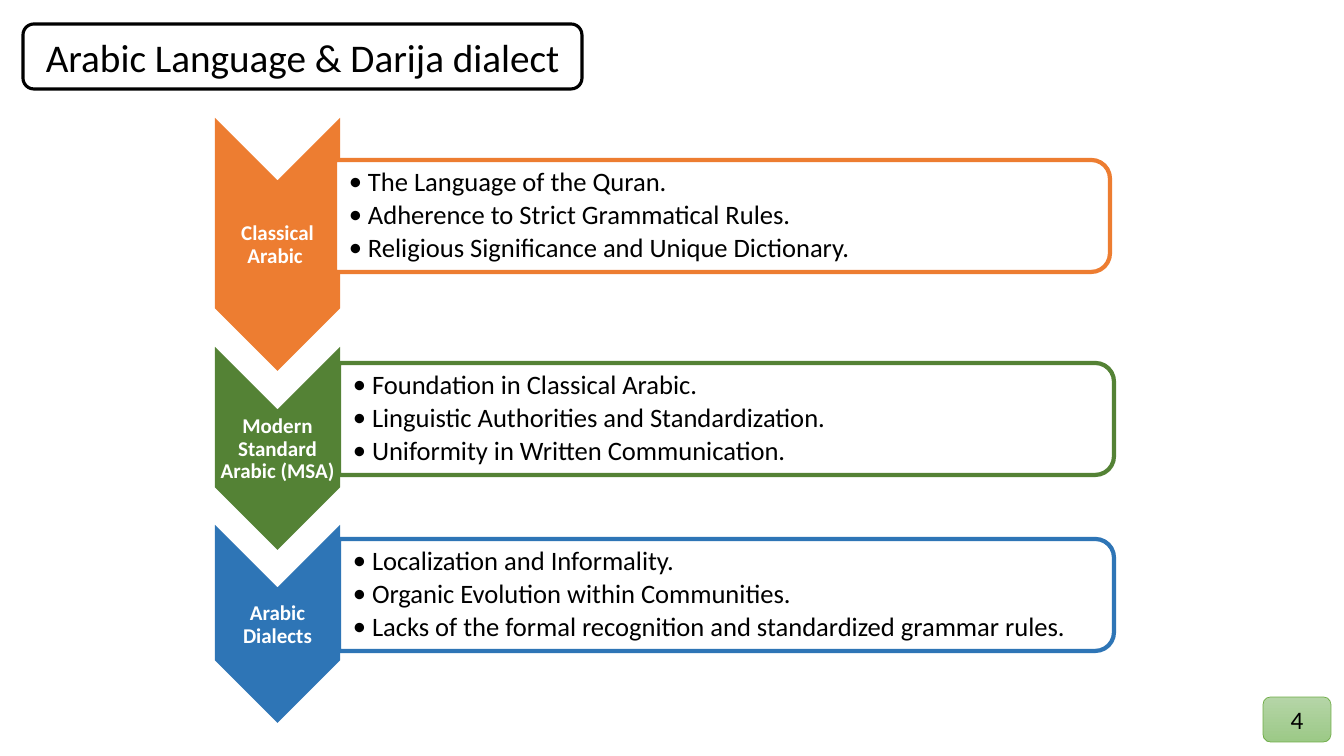
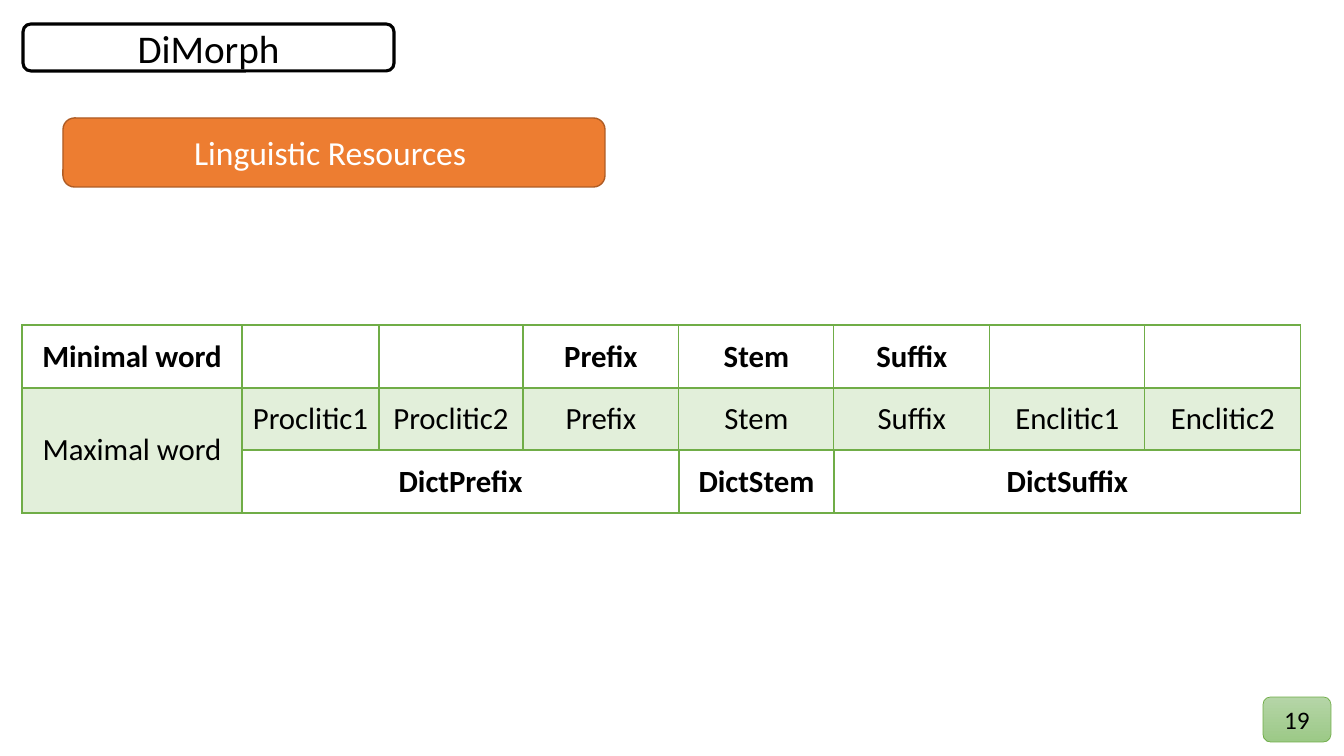
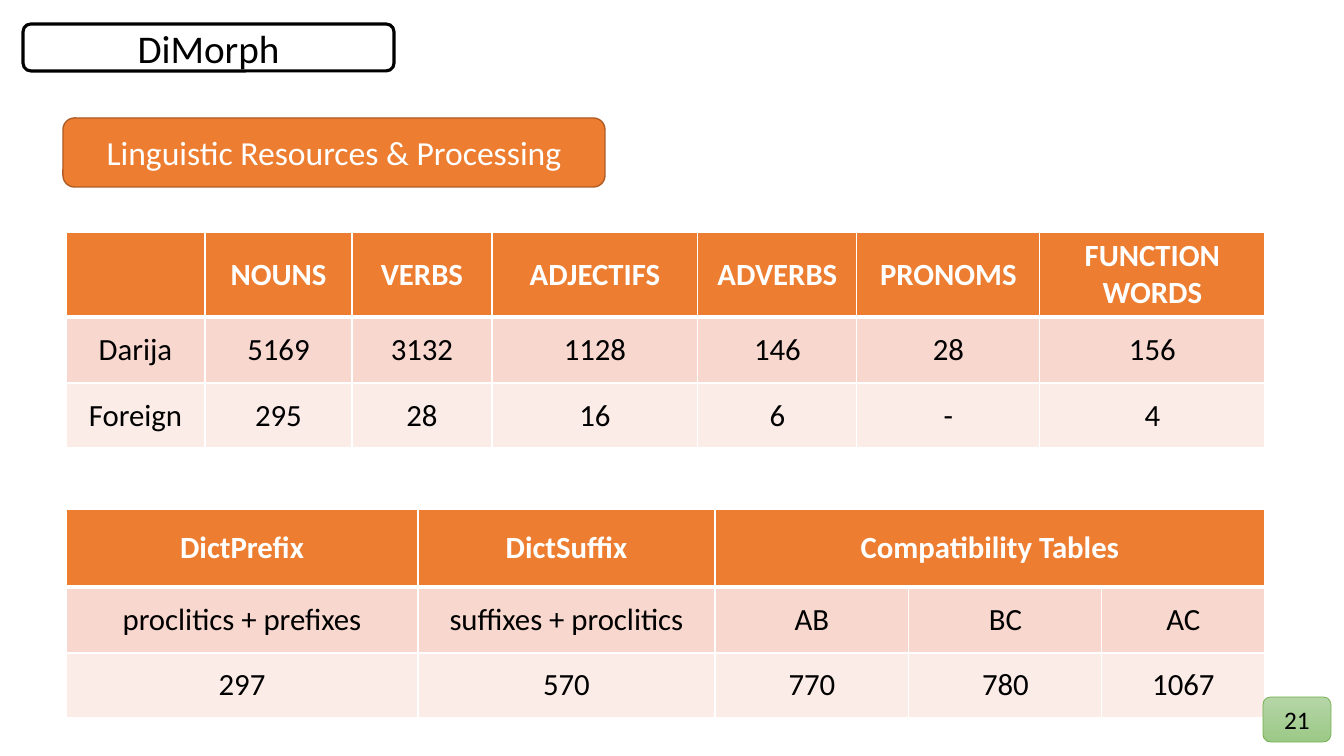
from dataclasses import dataclass, field
from typing import Any

import lxml.etree
import pptx
import pptx.dml.color
import pptx.enum.shapes
import pptx.enum.text
import pptx.oxml
import pptx.oxml.ns
import pptx.util

PX_PER_INCH = 100.8
FONT = "Calibri"
BLACK, WHITE = "000000", "FFFFFF"
ORANGE, DARK_ORANGE = "ED7D31", "AF5C24"
GREEN, PALE_GREEN = "70AD47", "E2EFDA"
FOREST, BLUE = "548235", "2E75B6"
ROSE, PALE_ROSE = "F8D7CE", "FCECE8"
BADGE_TOP, BADGE_BOTTOM = "B5D5A7", "9CC987"

SHAPE = pptx.enum.shapes.MSO_SHAPE
ALIGN = pptx.enum.text.PP_ALIGN
MIDDLE = pptx.enum.text.MSO_ANCHOR.MIDDLE
NO_AUTOSIZE = pptx.enum.text.MSO_AUTO_SIZE.NONE


@dataclass(frozen=True)
class Box:
    left: float
    top: float
    width: float
    height: float

    def turned(self) -> "Box":
        """Frame that covers this box once it is rotated by a quarter turn."""
        shift = (self.width - self.height) / 2
        return Box(self.left + shift, self.top - shift, self.height, self.width)


@dataclass(frozen=True)
class TextStyle:
    size: int
    color: str = BLACK
    bold: bool = False
    align: Any = ALIGN.CENTER


@dataclass(frozen=True)
class Variety:
    name: str
    color: str
    chevron: Box
    panel: Box
    points: list[str]


@dataclass(frozen=True)
class RowStyle:
    fill: str | None
    text: TextStyle


@dataclass(frozen=True)
class TableSpec:
    """Merges are (first row, first column, last row, last column);
    rules give the width of row boundaries that are not 1 pt."""
    left: int
    top: int
    columns: list[int]
    heights: list[int]
    rows: list[list[str]]
    styles: list[RowStyle]
    border: str
    rules: dict[int, int]
    merges: list[tuple[int, int, int, int]] = field(default_factory=list)


TITLE_TEXT = TextStyle(28)
SECTION_TEXT = TextStyle(24, WHITE)
BADGE_TEXT = TextStyle(18)
CHEVRON_TEXT = TextStyle(15, WHITE, True)
POINT_TEXT = TextStyle(19, align=ALIGN.LEFT)
CELL_TEXT = TextStyle(22)
BOLD_CELL_TEXT = TextStyle(22, bold=True)
HEADER_TEXT = TextStyle(22, WHITE, True)

WIDE_TITLE = Box(23, 24, 559, 65)
SHORT_TITLE = Box(23, 24, 371, 47)
SECTION = Box(63, 118, 542, 69)
BADGE = Box(1263, 697, 68, 45)

VARIETIES = [
    Variety("Classical Arabic ", ORANGE, Box(217, 123, 121, 245), Box(335, 160, 775, 112),
            ["The Language of the Quran.",
             "Adherence to Strict Grammatical Rules.",
             "Religious Significance and Unique Dictionary."]),
    Variety("Modern Standard Arabic (MSA)", FOREST, Box(217, 352, 121, 195),
            Box(339, 363, 775, 112),
            ["Foundation in Classical Arabic.",
             "Linguistic Authorities and Standardization.",
             "Uniformity in Written Communication."]),
    Variety("Arabic Dialects", BLUE, Box(217, 530, 121, 190), Box(339, 539, 775, 112),
            ["Localization and Informality.",
             "Organic Evolution within Communities.",
             "Lacks of the formal recognition and standardized grammar rules."]),
]

PLAIN_ROW = RowStyle(None, BOLD_CELL_TEXT)
WORD_TABLE = TableSpec(
    22, 325, [220, 137, 144, 156, 155, 156, 155, 156], [63, 62, 63],
    [["Minimal word", "", "", "Prefix", "Stem", "Suffix", "", ""],
     ["Maximal word", "Proclitic1", "Proclitic2", "Prefix", "Stem", "Suffix",
      "Enclitic1", "Enclitic2"],
     [""] * 8],
    [PLAIN_ROW, RowStyle(PALE_GREEN, CELL_TEXT), PLAIN_ROW],
    GREEN, {1: 2}, [(1, 0, 2, 0), (2, 1, 2, 3), (2, 5, 2, 7)])
DICTIONARY_TABLE = TableSpec(
    242, 450, [437, 155, 467], [63], [["DictPrefix", "DictStem", "DictSuffix"]],
    [PLAIN_ROW], GREEN, {1: 2})

ORANGE_ROWS = [RowStyle(ORANGE, HEADER_TEXT), RowStyle(ROSE, CELL_TEXT),
               RowStyle(PALE_ROSE, CELL_TEXT)]
LEXICON_TABLE = TableSpec(
    66, 232, [139, 147, 140, 206, 159, 183, 225], [85, 66, 65],
    [["", "NOUNS", "VERBS", "ADJECTIFS", "ADVERBS", "PRONOMS", "FUNCTION WORDS"],
     ["Darija", "5169", "3132", "1128", "146", "28", "156"],
     ["Foreign", "295", "28", "16", "6", "-", "4"]],
    ORANGE_ROWS, WHITE, {1: 3})
AFFIX_TABLE = TableSpec(
    66, 509, [352, 297, 194, 193, 163], [78, 66, 65],
    [["DictPrefix", "DictSuffix", "Compatibility Tables", "", ""],
     ["proclitics + prefixes", "suffixes + proclitics", "AB", "BC", "AC"],
     ["297", "570", "770", "780", "1067"]],
    ORANGE_ROWS, WHITE, {1: 3}, [(0, 2, 0, 4)])


def px(length: float) -> pptx.util.Emu:
    return pptx.util.Emu(round(length * 914400 / PX_PER_INCH))


def rgb(color: str) -> pptx.dml.color.RGBColor:
    return pptx.dml.color.RGBColor.from_string(color)


def set_attributes(target: Any, values: dict[str, Any]) -> None:
    for name, value in values.items():
        setattr(target, name, value)


def bounds(box: Box) -> list[pptx.util.Emu]:
    return [px(length) for length in (box.left, box.top, box.width, box.height)]


def write_text(frame: Any, lines: list[str], style: TextStyle) -> None:
    for index, line in enumerate(lines):
        paragraph = frame.add_paragraph() if index else frame.paragraphs[0]
        paragraph.alignment = style.align
        run = paragraph.add_run()
        run.text = line
        set_attributes(run.font, {"name": FONT, "size": pptx.util.Pt(style.size),
                                  "bold": style.bold})
        run.font.color.rgb = rgb(style.color)


def add_painted_shape(slide: Any, kind: Any, box: Box, fill: str, line: str,
                      line_width: float) -> Any:
    shape = slide.shapes.add_shape(kind, *bounds(box))
    shape.shadow.inherit = False
    shape.text_frame.vertical_anchor = MIDDLE
    shape.fill.solid()
    shape.fill.fore_color.rgb = rgb(fill)
    shape.line.color.rgb = rgb(line)
    shape.line.width = pptx.util.Pt(line_width)
    miter = lxml.etree.SubElement(shape.line._get_or_add_ln(), pptx.oxml.ns.qn("a:miter"))
    miter.set("lim", "800000")
    return shape


def add_text_box(slide: Any, box: Box, lines: list[str], style: TextStyle,
                 left_margin: int = 1) -> Any:
    frame = slide.shapes.add_textbox(*bounds(box)).text_frame
    set_attributes(frame, {"word_wrap": True, "vertical_anchor": MIDDLE,
                           "margin_left": px(left_margin), "margin_right": px(1),
                           "margin_top": px(1), "margin_bottom": px(1)})
    write_text(frame, lines, style)
    for paragraph in frame.paragraphs:
        paragraph.line_spacing = 0.9
    return frame


def add_bullets(frame: Any) -> None:
    for paragraph in frame.paragraphs:
        paragraph.space_after = pptx.util.Pt(3)
        properties = paragraph._p.get_or_add_pPr()
        properties.set("marL", str(px(19)))
        properties.set("indent", str(px(-19)))
        for tag, name, value in (("a:buFont", "typeface", FONT), ("a:buChar", "char", "•")):
            lxml.etree.SubElement(properties, pptx.oxml.ns.qn(tag)).set(name, value)


def format_title(slide: Any, text: str, box: Box) -> None:
    """Place the title placeholder on an outlined rounded box."""
    title = slide.shapes.title
    frame = add_painted_shape(slide, SHAPE.ROUNDED_RECTANGLE, box, WHITE, BLACK, 2.25)
    title._element.addprevious(frame._element)
    set_attributes(title, dict(zip(("left", "top", "width", "height"), bounds(box))))
    set_attributes(title.text_frame, {"word_wrap": True, "vertical_anchor": MIDDLE,
                                      "auto_size": NO_AUTOSIZE})
    write_text(title.text_frame, [text], TITLE_TEXT)


def add_page_badge(slide: Any, number: int) -> None:
    badge = add_painted_shape(slide, SHAPE.ROUNDED_RECTANGLE, BADGE, BADGE_TOP, GREEN, 0.5)
    badge.fill.gradient()
    badge.fill.gradient_angle = 270
    for stop, color in zip(badge.fill.gradient_stops, (BADGE_TOP, BADGE_BOTTOM)):
        stop.color.rgb = rgb(color)
    write_text(badge.text_frame, [str(number)], BADGE_TEXT)


def add_slide(presentation: Any, title: str, title_box: Box) -> Any:
    slide = presentation.slides.add_slide(presentation.slide_layouts.get_by_name("Title Only"))
    format_title(slide, title, title_box)
    return slide


def add_section(slide: Any, text: str) -> None:
    section = add_painted_shape(slide, SHAPE.ROUNDED_RECTANGLE, SECTION, ORANGE, DARK_ORANGE, 1)
    write_text(section.text_frame, [text], SECTION_TEXT)


def add_variety(slide: Any, variety: Variety) -> None:
    """Draw a downward chevron with its name and the panel of points beside it."""
    for kind, box, fill in ((SHAPE.CHEVRON, variety.chevron, variety.color),
                            (SHAPE.ROUND_2_SAME_RECTANGLE, variety.panel, WHITE)):
        shape = add_painted_shape(slide, kind, box.turned(), fill, variety.color, 3)
        shape.rotation = 90
    add_text_box(slide, variety.chevron, [variety.name], CHEVRON_TEXT)
    add_bullets(add_text_box(slide, variety.panel, variety.points, POINT_TEXT, 14))


def set_borders(cell: Any, color: str, widths: dict[str, int]) -> None:
    for side, width in widths.items():
        cell._tc.get_or_add_tcPr().append(pptx.oxml.parse_xml(
            f'<a:{side} {pptx.oxml.ns.nsdecls("a")} w="{pptx.util.Pt(width)}">'
            f'<a:solidFill><a:srgbClr val="{color}"/></a:solidFill></a:{side}>'))


def fill_cell(cell: Any, color: str | None) -> None:
    if color is None:
        cell.fill.background()
    else:
        cell.fill.solid()
        cell.fill.fore_color.rgb = rgb(color)


def add_data_table(slide: Any, spec: TableSpec) -> None:
    box = Box(spec.left, spec.top, sum(spec.columns), sum(spec.heights))
    table = slide.shapes.add_table(len(spec.heights), len(spec.columns), *bounds(box)).table
    set_attributes(table, {"first_row": False, "horz_banding": False})
    for column, width in zip(table.columns, spec.columns):
        column.width = px(width)
    for index, (texts, style) in enumerate(zip(spec.rows, spec.styles)):
        table.rows[index].height = px(spec.heights[index])
        widths = {"lnL": 1, "lnR": 1, "lnT": spec.rules.get(index, 1),
                  "lnB": spec.rules.get(index + 1, 1)}
        for cell, text in zip(table.rows[index].cells, texts):
            set_attributes(cell, {"vertical_anchor": MIDDLE, "margin_left": px(5),
                                  "margin_right": px(5)})
            set_borders(cell, spec.border, widths)
            fill_cell(cell, style.fill)
            if text:
                write_text(cell.text_frame, [text], style.text)
    for top, left, bottom, right in spec.merges:
        table.cell(top, left).merge(table.cell(bottom, right))


def main() -> None:
    presentation = pptx.Presentation()
    set_attributes(presentation, {"slide_width": px(1344), "slide_height": px(756)})

    language_slide = add_slide(presentation, "Arabic Language & Darija dialect", WIDE_TITLE)
    for variety in VARIETIES:
        add_variety(language_slide, variety)
    add_page_badge(language_slide, 4)

    for section, tables, number in (
            ("Linguistic Resources ", (WORD_TABLE, DICTIONARY_TABLE), 19),
            ("Linguistic Resources & Processing", (LEXICON_TABLE, AFFIX_TABLE), 21)):
        slide = add_slide(presentation, "DiMorph", SHORT_TITLE)
        add_section(slide, section)
        for spec in tables:
            add_data_table(slide, spec)
        add_page_badge(slide, number)

    presentation.save("out.pptx")


if __name__ == "__main__":
    main()
